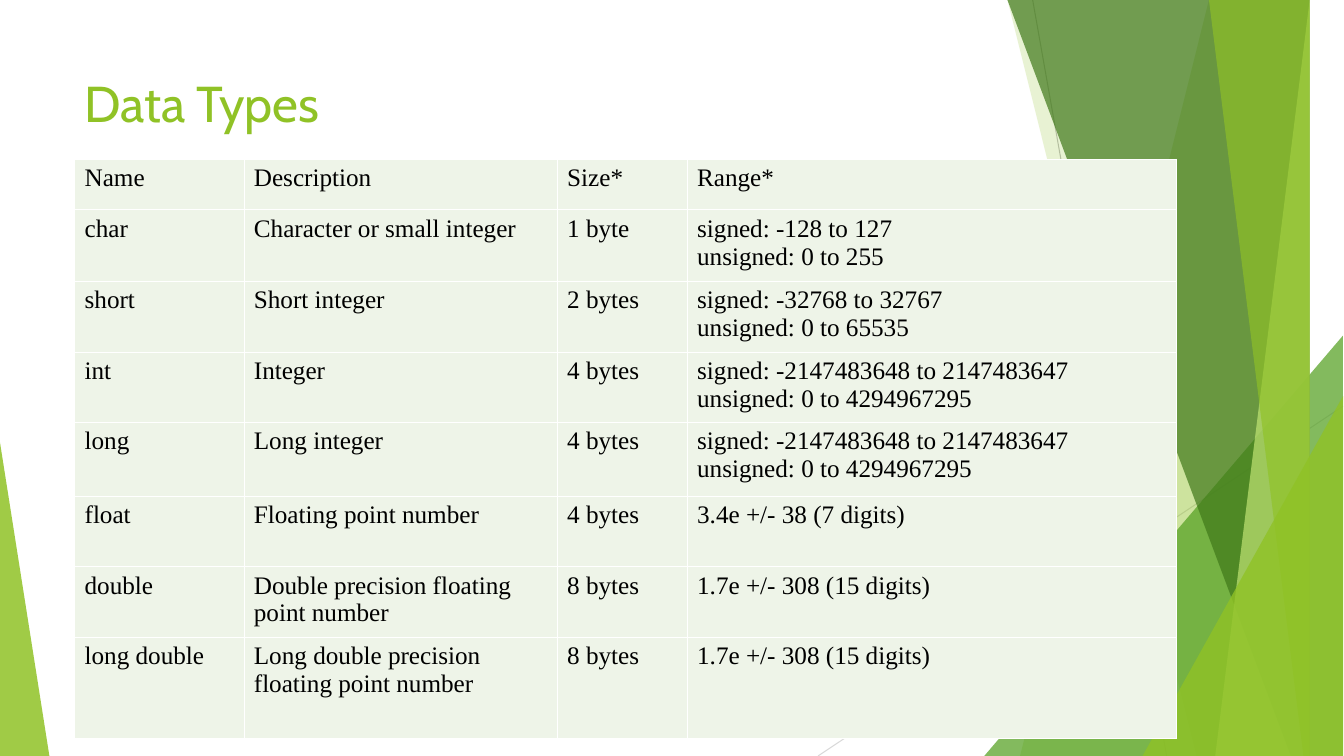
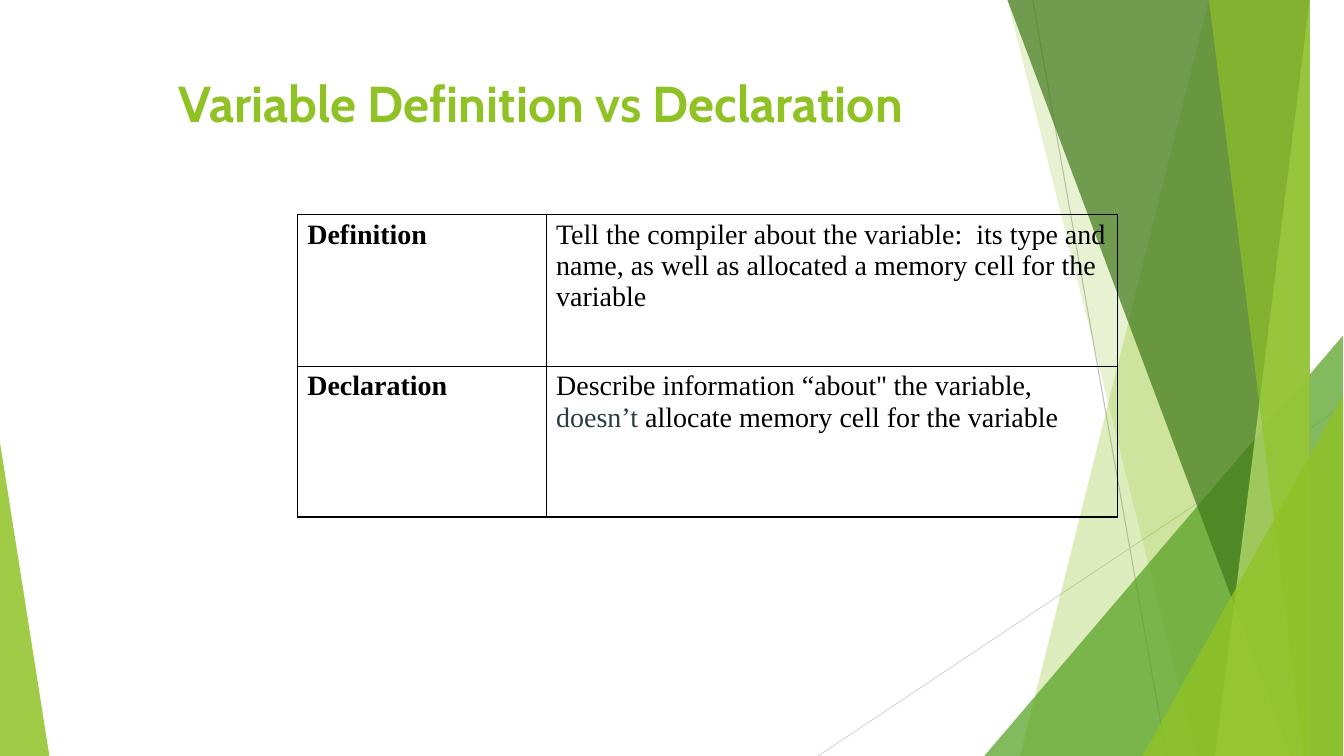
"""Build two slides on data types and on variable definition versus declaration."""
from lxml.etree import SubElement
from pptx import Presentation
from pptx.dml.color import RGBColor
from pptx.enum.shapes import MSO_CONNECTOR, MSO_SHAPE
from pptx.oxml.ns import qn
from pptx.util import Inches, Pt

BLACK = RGBColor(0x00, 0x00, 0x00)
WHITE = RGBColor(0xFF, 0xFF, 0xFF)
LIME = RGBColor(0x90, 0xC2, 0x26)
PALE_LIME = RGBColor(0xC0, 0xE4, 0x74)
GREEN = RGBColor(0x54, 0xA0, 0x21)
DARK_GREEN = RGBColor(0x3F, 0x78, 0x19)
CELL_GREEN = RGBColor(0xEE, 0xF4, 0xE8)
SLATE = RGBColor(0x2C, 0x3C, 0x43)
GRAY = RGBColor(0xBF, 0xBF, 0xBF)
LIGHT_GRAY = RGBColor(0xD9, 0xD9, 0xD9)

TITLE_FONT = "Cabin"
TABLE_FONT = "Times New Roman"
RIGHT, TOP, BOTTOM = 13.33, -0.01, 7.5

HAIRLINES = [
    (10.25, 0, 11.58, BOTTOM, GRAY),
    (RIGHT, 4.03, 8.12, BOTTOM, LIGHT_GRAY),
]
# Bands give top-left and bottom-left x; triangles give left, top, width, apex.
FACETS = [
    ("band", (12.28, 10.04), LIME, 30),
    ("band", (10.5, 11.82), LIME, 20),
    ("triangle", (9.77, 3.33, 3.56, 1), GREEN, 72),
    ("band", (10.21, 12.91), DARK_GREEN, 70),
    ("band", (13.03, 11.92), PALE_LIME, 70),
    ("band", (11.96, 13.18), LIME, 65),
    ("triangle", (11.34, 3.93, 1.99, 1), LIME, 80),
    ("triangle", (0, 4.39, 0.49, 0), LIME, 85),
]

DATA_TYPES = [
    ("Name", "Description", "Size*", "Range*"),
    ("char", "Character or small integer", "1 byte",
     "signed: -128 to 127\nunsigned: 0 to 255"),
    ("short", "Short integer", "2 bytes",
     "signed: -32768 to 32767\nunsigned: 0 to 65535"),
    ("int", "Integer", "4 bytes",
     "signed: -2147483648 to 2147483647\nunsigned: 0 to 4294967295"),
    ("long", "Long integer", "4 bytes",
     "signed: -2147483648 to 2147483647\nunsigned: 0 to 4294967295"),
    ("float", "Floating point number", "4 bytes", "3.4e +/- 38 (7 digits)"),
    ("double", "Double precision floating point number", "8 bytes",
     "1.7e +/- 308 (15 digits)"),
    ("long double", "Long double precision floating point number", "8 bytes",
     "1.7e +/- 308 (15 digits)"),
]
MEANINGS = [
    ("Definition",
     "Tell the compiler about the variable:  its type and name, "
     "as well as allocated a memory cell for the variable"),
    ("Declaration", "Describe information “about'' the variable, "),
]


def add_titled_slide(presentation, title, left, width, height, bold):
    slide = presentation.slides.add_slide(presentation.slide_layouts[6])
    for x1, y1, x2, y2, color in HAIRLINES:
        line = slide.shapes.add_connector(
            MSO_CONNECTOR.STRAIGHT, Inches(x1), Inches(y1), Inches(x2), Inches(y2))
        line.line.color.rgb = color
        line.line.width = Pt(0.75)
        SubElement(line._element.spPr, qn("a:effectLst"))
    for kind, geometry, color, opacity in FACETS:
        if kind == "band":
            top_x, bottom_x = geometry
            builder = slide.shapes.build_freeform(top_x, TOP, scale=Inches(1))
            builder.add_line_segments([(RIGHT, TOP), (RIGHT, BOTTOM), (bottom_x, BOTTOM)])
            facet = builder.convert_to_shape()
        else:
            x, y, facet_width, apex = geometry
            facet = slide.shapes.add_shape(
                MSO_SHAPE.ISOSCELES_TRIANGLE, Inches(x), Inches(y),
                Inches(facet_width), Inches(BOTTOM - y))
            facet.adjustments[0] = apex
        facet.shadow.inherit = False
        facet.line.fill.background()
        facet.fill.solid()
        facet.fill.fore_color.rgb = color
        color_element = facet._element.spPr.find(qn("a:solidFill"))[0]
        SubElement(color_element, qn("a:alpha"), val=str(opacity * 1000))
    box = slide.shapes.add_textbox(Inches(left), Inches(0.67), Inches(width), Inches(height))
    box.text_frame.word_wrap = True
    box.text_frame.text = title
    font = box.text_frame.paragraphs[0].runs[0].font
    font.name, font.size, font.bold = TITLE_FONT, Pt(36), bold
    font.color.rgb = LIME
    return slide


def add_grid(slide, rows, left, top, widths, heights, size, space, fill, border, outer, inner):
    table = slide.shapes.add_table(
        len(rows), len(widths), Inches(left), Inches(top),
        Inches(sum(widths)), Inches(sum(heights))).table
    table.first_row = table.horz_banding = False
    for column, width in zip(table.columns, widths):
        column.width = Inches(width)
    for row, height in zip(table.rows, heights):
        row.height = Inches(height)
    for i, texts in enumerate(rows):
        for j, text in enumerate(texts):
            cell = table.cell(i, j)
            on_edge = {"L": j == 0, "R": j == len(widths) - 1,
                       "T": i == 0, "B": i == len(rows) - 1}
            for side, is_outer in on_edge.items():
                line = SubElement(cell._tc.get_or_add_tcPr(), qn("a:ln" + side),
                                  w=str(Pt(outer if is_outer else inner)))
                SubElement(SubElement(line, qn("a:solidFill")), qn("a:srgbClr"), val=str(border))
            if fill is None:
                cell.fill.background()
            else:
                cell.fill.solid()
                cell.fill.fore_color.rgb = fill
            paragraph = cell.text_frame.paragraphs[0]
            paragraph.text = text
            paragraph.space_before = Pt(space)
            for run in paragraph.runs:
                run.font.name, run.font.size = TABLE_FONT, Pt(size)
                run.font.color.rgb = BLACK
    return table


presentation = Presentation()
presentation.slide_width, presentation.slide_height = Inches(13.34), Inches(7.5)

types_slide = add_titled_slide(presentation, "Data Types", 0.74, 9.4, 1.44, False)
add_grid(types_slide, DATA_TYPES, 0.74, 1.58, [1.68, 3.11, 1.29, 4.86],
         [0.5, 0.71, 0.7, 0.7, 0.73, 0.7, 0.7, 1], 18, 4.5, CELL_GREEN, WHITE, 0.45, 0.45)

meanings_slide = add_titled_slide(
    presentation, "Variable Definition vs Declaration", 1.67, 11.33, 1.25, True)
meanings = add_grid(meanings_slide, MEANINGS, 2.95, 2.13, [2.47, 5.67], [1.5, 1.5],
                    20, 5, None, BLACK, 1.08, 0.45)
for i in range(len(MEANINGS)):
    meanings.cell(i, 0).text_frame.paragraphs[0].runs[0].font.bold = True
declaration = meanings.cell(1, 1).text_frame.paragraphs[0]
for text, color in [("doesn’t", SLATE), (" allocate memory cell for the variable", BLACK)]:
    run = declaration.add_run()
    run.text = text
    run.font.name, run.font.size = TABLE_FONT, Pt(20)
    run.font.color.rgb = color

presentation.save("out.pptx")
